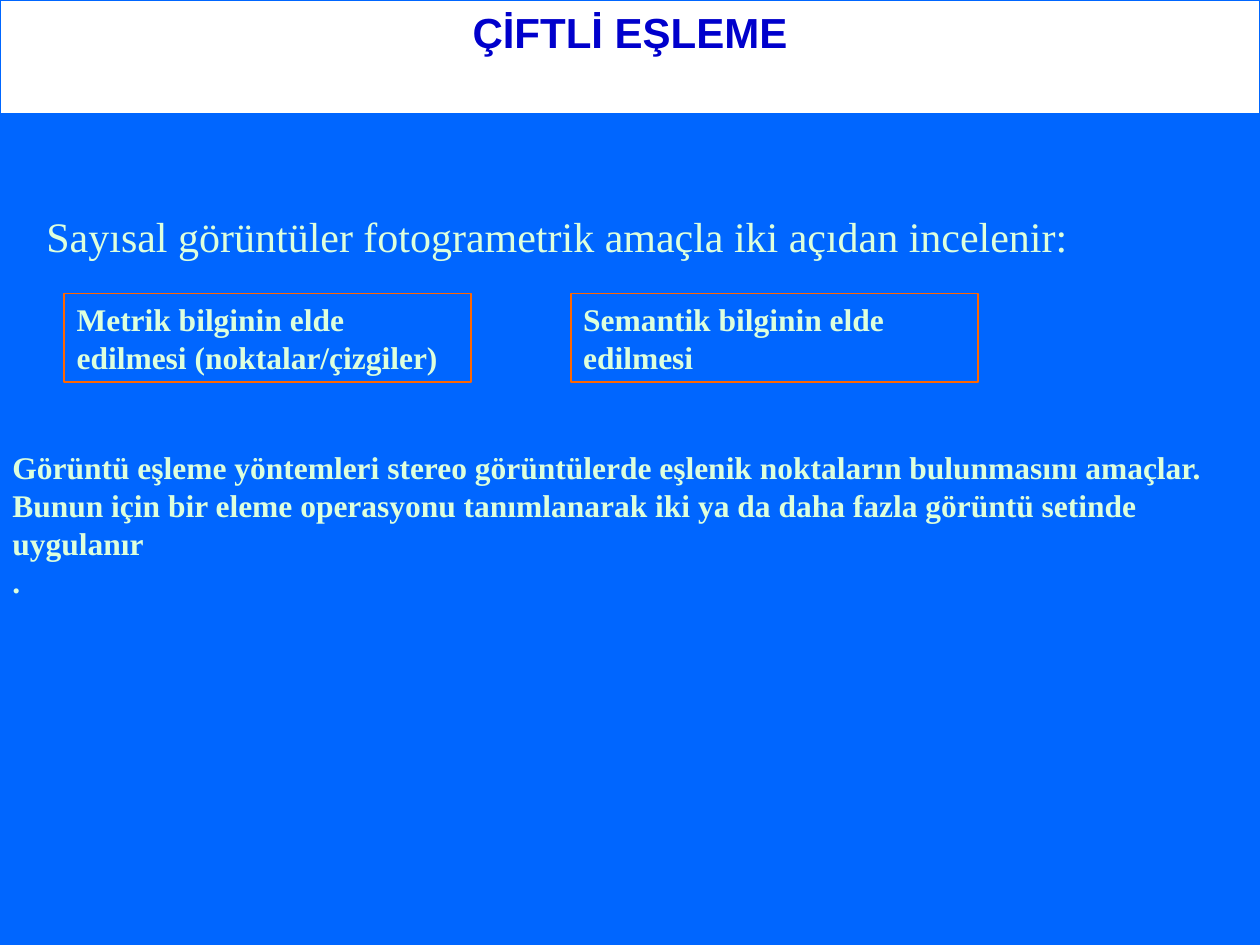
"""Builds the slide on pairwise image matching, with a title band and two framed aims."""
from pptx import Presentation
from pptx.dml.color import RGBColor
from pptx.enum.shapes import MSO_SHAPE as Shape
from pptx.enum.text import MSO_ANCHOR as Anchor, MSO_AUTO_SIZE as Auto, PP_ALIGN as Align
from pptx.util import Inches, Pt

SERIF, PALE = "Times New Roman", "DDFFDD"


def color(code):
    return RGBColor.from_string(code)


def write(shape, text, size, bold=True, face=SERIF, ink=PALE, align=Align.LEFT):
    frame = shape.text_frame
    frame.text = text
    frame.word_wrap = True
    frame.auto_size = Auto.NONE
    frame.vertical_anchor = Anchor.TOP
    for para in frame.paragraphs:
        para.alignment = align
        for run in para.runs:
            font = run.font
            font.name, font.size, font.bold = face, Pt(size), bold
            font.color.rgb = color(ink)


deck = Presentation()
deck.slide_width, deck.slide_height = Inches(10), Inches(7.5)
slide = deck.slides.add_slide(deck.slide_layouts[5])
slide.background.fill.solid()
slide.background.fill.fore_color.rgb = color("0066FF")
shapes = slide.shapes

title = shapes.title
title.left, title.top = 0, 0
title.width, title.height = deck.slide_width, Inches(0.9)
title.fill.solid()
title.fill.fore_color.rgb = color("FFFFFF")
title.line.color.rgb = color("0066FF")
title.line.width = Pt(0.75)
write(title, "ÇİFTLİ EŞLEME", 24, face="Arial", ink="0000CC", align=Align.CENTER)

intro = shapes.add_textbox(Inches(0.27), Inches(1.62), Inches(9.61), Inches(0.5))
write(intro, "Sayısal görüntüler fotogrametrik amaçla iki açıdan incelenir:", 24, bold=False)

left, step = 0.51, 4.02
aims = ["Metrik bilginin elde edilmesi (noktalar/çizgiler)", "Semantik bilginin elde edilmesi"]
for col, aim in enumerate(aims):
    box = shapes.add_shape(Shape.RECTANGLE, Inches(left + col * step), Inches(2.33),
                           Inches(3.23), Inches(0.7))
    box.shadow.inherit = False
    box.fill.background()
    box.line.color.rgb = color("FF6600")
    box.line.width = Pt(1)
    write(box, aim, 18)

note = shapes.add_textbox(0, Inches(3.51), Inches(9.8), Inches(1.3))
write(note, "Görüntü eşleme yöntemleri stereo görüntülerde eşlenik noktaların bulunmasını amaçlar. "
            "Bunun için bir eleme operasyonu tanımlanarak iki ya da daha fazla görüntü setinde "
            "uygulanır\n.", 18)

deck.save("out.pptx")
